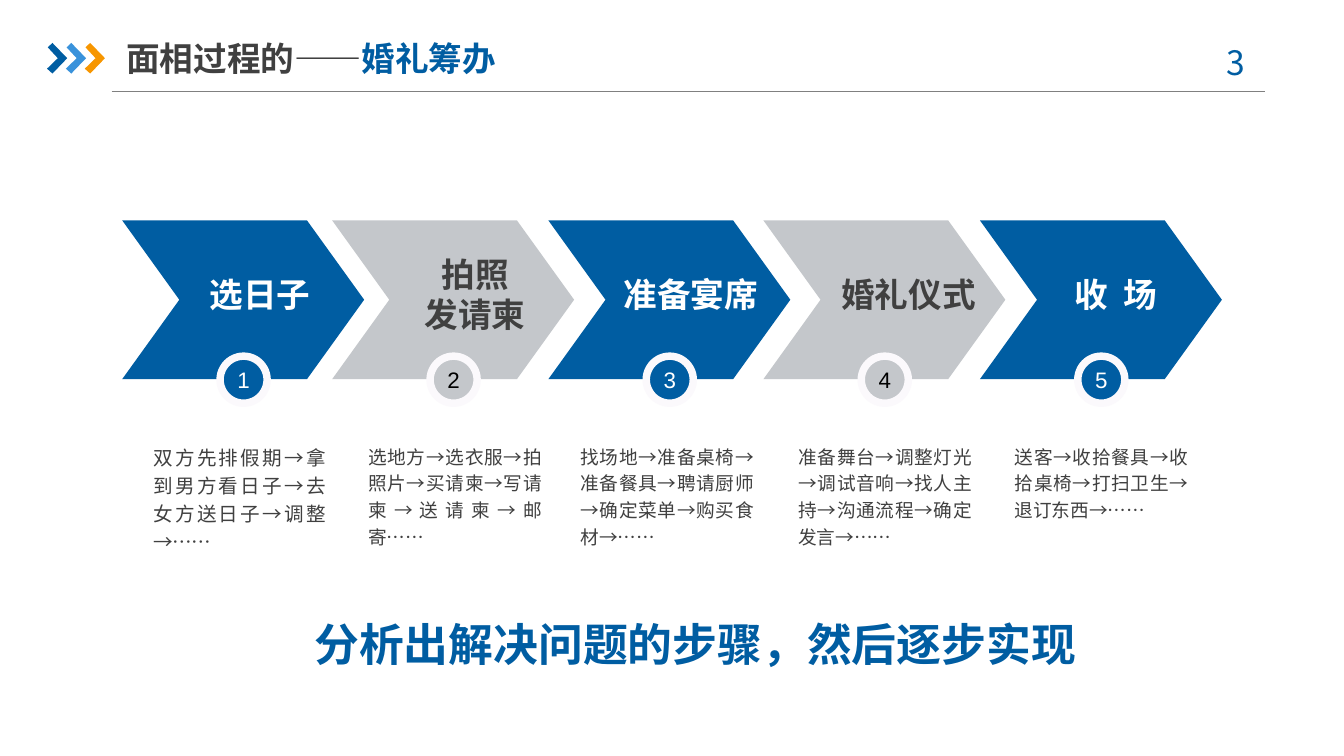
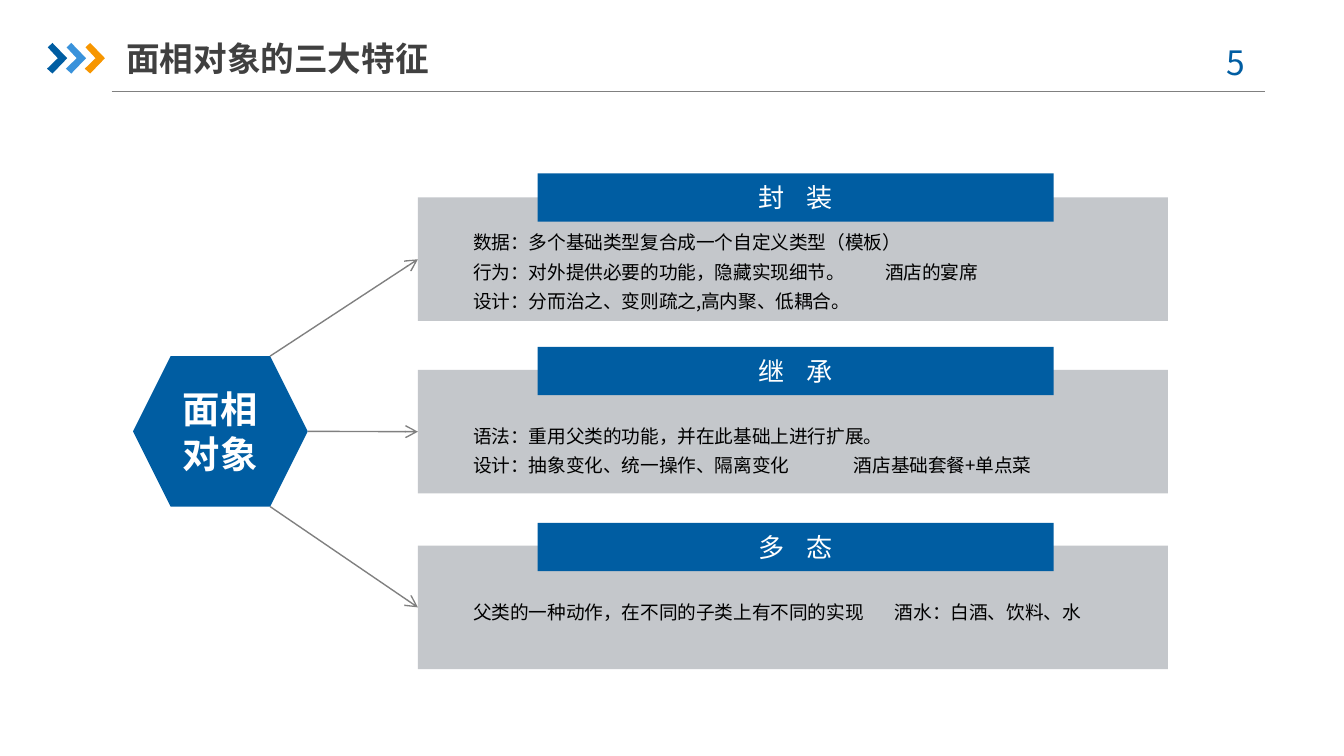
from dataclasses import dataclass
from lxml.etree import SubElement
from pptx import Presentation
from pptx.dml.color import RGBColor
from pptx.enum.shapes import MSO_CONNECTOR, MSO_SHAPE
from pptx.enum.text import MSO_ANCHOR, PP_ALIGN
from pptx.oxml.ns import qn
from pptx.util import Pt


@dataclass(frozen=True)
class Theme:
    blue: str = "005DA2"
    sky: str = "3992DB"
    gold: str = "F79600"
    pale: str = "C4C7CB"
    rim: str = "FBF9FC"
    rule: str = "808080"
    ink: str = "404040"
    black: str = "000000"
    white: str = "FFFFFF"
    sans: str = "Noto Sans CJK SC"
    latin: str = "Calibri"
    digit: str = "Arial"
    head: int = 18
    claim: int = 24
    core: int = 20
    bar: int = 14
    badge: int = 12
    body: int = 10


T = Theme()
FLUSH = dict(margin_left=0, margin_right=0, margin_top=0, margin_bottom=0)
SLIM = dict(margin_left=Pt(5.76), margin_right=Pt(5.76), margin_top=Pt(2.88), margin_bottom=Pt(2.88))
MID = dict(vertical_anchor=MSO_ANCHOR.MIDDLE)
CENTER = dict(alignment=PP_ALIGN.CENTER)

TITLES = [
    ("3", 213, [("面相过程的——", {}), ("婚礼筹办", dict(name=T.latin, color=T.blue))]),
    ("5", 168, [("面相对象的三大特征", {})]),
]
STEPS = [
    (65.5, 139.3, 82, 10.5, [[("选日子", {})]],
     "双方先排假期→拿到男方看日子→去女方送日子→调整→……"),
    (178, 254.5, 197.3, T.body, [[("拍照", {})], [("发请柬", {})]],
     "选地方→选衣服→拍照片→买请柬→写请柬→送请柬→邮寄……"),
    (293.8, 370, 311, T.body, [[("准备宴席", {})]],
     "找场地→准备桌椅→准备餐具→聘请厨师→确定菜单→购买食材→……"),
    (409, 486.7, 427.7, T.body, [[("婚礼仪式", {})]],
     "准备舞台→调整灯光→调试音响→找人主持→沟通流程→确定发言→……"),
    (525, 597.6, 543.6, T.body, [[("收 ", dict(gap=2)), ("场", {})]],
     "送客→收拾餐具→收拾桌椅→打扫卫生→退订东西→……"),
]
CLAIM = "分析出解决问题的步骤，然后逐步实现"
CORE = "面相对象"
TRAITS = [
    (105.8, 92.9, 117.4, 220.7, "封装",
     ["数据：多个基础类型复合成一个自定义类型（模板）",
      "行为：对外提供必要的功能，隐藏实现细节。\t酒店的宴席",
      "设计：分而治之、变则疏之,高内聚、低耦合。"]),
    (198.2, 185.8, 221, 204, "继承",
     ["语法：重用父类的功能，并在此基础上进行扩展。",
      "设计：抽象变化、统一操作、隔离变化\t酒店基础套餐+单点菜"]),
    (292.3, 280.1, 315.4, 226, "多态",
     ["父类的一种动作，在不同的子类上有不同的实现\t酒水：白酒、饮料、水"]),
]


def rgb(code):
    return RGBColor.from_string(code)


def apply(part, values):
    for key, value in values.items():
        setattr(part, key, value)


def write(shape, paras, look, frame=None, para=None, tab=None):
    box = shape.text_frame
    apply(box, {"word_wrap": True, **(frame or {})})
    for i, runs in enumerate(paras):
        line = box.paragraphs[0] if i == 0 else box.add_paragraph()
        apply(line, para or {})
        if tab:
            stops = SubElement(line._p.get_or_add_pPr(), qn("a:tabLst"))
            SubElement(stops, qn("a:tab"), pos=str(Pt(tab)), algn="l")
        for words, extra in runs:
            form = {"name": T.sans, "bold": False, **look, **extra}
            color, gap = form.pop("color"), form.pop("gap", 0)
            form["size"] = Pt(form["size"])
            run = line.add_run()
            run.text = words
            run.font.color.rgb = rgb(color)
            apply(run.font, form)
            props = run._r.get_or_add_rPr()
            SubElement(props, qn("a:ea"), typeface=T.sans)
            if gap:
                props.set("spc", str(round(gap * 100)))


def label(slide, spot, *args, **kwargs):
    write(slide.shapes.add_textbox(*map(Pt, spot)), *args, **kwargs)


def paint(shape, fill, rim=None):
    shape.shadow.inherit = False
    shape.fill.solid()
    shape.fill.fore_color.rgb = rgb(fill)
    if rim:
        shape.line.color.rgb = rgb(rim)
        shape.line.width = Pt(4)
    else:
        shape.line.fill.background()
    return shape


def block(slide, kind, spot, fill, rim=None):
    return paint(slide.shapes.add_shape(kind, *map(Pt, spot)), fill, rim)


def link(slide, start, end, arrow=False):
    line = slide.shapes.add_connector(MSO_CONNECTOR.STRAIGHT, *map(Pt, start + end))
    line.line.color.rgb = rgb(T.rule)
    line.line.width = Pt(0.75)
    if arrow:
        SubElement(line.line._get_or_add_ln(), qn("a:tailEnd"), type="arrow")
    SubElement(line._element.spPr, qn("a:effectLst"))
    return line


def frame(deck, page, width, title):
    slide = deck.slides.add_slide(deck.slide_layouts[6])
    link(slide, (59.8, 49), (677.5, 49))
    for i, color in enumerate((T.blue, T.sky, T.gold)):
        left = 25.2 + 10.1 * i
        dots = [(left + x, 23 + y) for x, y in
                ((0.4, 2.4), (2.9, 0), (10.8, 8.2), (2.9, 16.4), (0, 13.8), (5.8, 8.2))]
        path = slide.shapes.build_freeform(Pt(dots[0][0]), Pt(dots[0][1]))
        path.add_line_segments([(Pt(x), Pt(y)) for x, y in dots[1:]], close=True)
        paint(path.convert_to_shape(), color)
    label(slide, (635.5, 18.7, 52.6, 28.8), [[(page, {})]],
          dict(size=T.head, color=T.blue), para=CENTER)
    label(slide, (67.7, 15.8, width, 30.2), [title],
          dict(size=T.head, color=T.ink, bold=True),
          frame=dict(margin_left=0, margin_right=0, **MID))
    return slide


def draw_steps(slide):
    for i, (left, mid, note, size, name, text) in enumerate(STEPS):
        fill, dark, num = (T.pale, T.ink, T.black) if i % 2 else (T.blue, T.white, T.white)
        arrow = block(slide, MSO_SHAPE.CHEVRON, (left, 118.1, 129.6, 85), fill)
        arrow.adjustments[0] = 0.36
        label(slide, (mid - 42, 142.7, 84, 30), name,
              dict(size=T.head, color=dark, bold=True), {**FLUSH, **MID}, CENTER)
        badge = block(slide, MSO_SHAPE.OVAL, (left + 52.4, 190.8, 25.2, 25.2), fill, T.rim)
        write(badge, [[(str(i + 1), {})]], dict(size=T.badge, color=num, name=T.digit),
              {**FLUSH, **MID}, CENTER)
        label(slide, (note, 236.2, 92.9, 60), [[(text, {})]],
              dict(size=size, color=T.ink), FLUSH,
              dict(alignment=PP_ALIGN.JUSTIFY, line_spacing=1.2))
    label(slide, (161.3, 326.9, 447.8, 36), [[(CLAIM, {})]],
          dict(size=T.claim, color=T.blue, bold=True, name=T.latin))


def draw_traits(slide):
    core = block(slide, MSO_SHAPE.HEXAGON, (71.3, 190.8, 93.6, 80.6), T.blue)
    write(core, [[(CORE, {})]], dict(size=T.core, color=T.white, bold=True),
          {**SLIM, **MID}, CENTER)
    starts = [(144.7, 190.8), (164.9, 231.1), (144.7, 271.4)]
    for start, (top, bar, body, tab, name, lines) in zip(starts, TRAITS):
        panel = block(slide, MSO_SHAPE.RECTANGLE, (223.9, top, 401.8, 66.2), T.pale)
        link(slide, start, (223.9, top + 33.1), True).end_connect(panel, 1)
        strip = block(slide, MSO_SHAPE.RECTANGLE, (288, bar, 276.5, 25.9), T.blue)
        write(strip, [[(name[0] + " ", dict(gap=4.5)), (name[1], {})]],
              dict(size=T.bar, color=T.white), {**SLIM, **MID}, CENTER)
        label(slide, (247.7, body, 368, 5.8 + 15.6 * len(lines)),
              [[(line, {})] for line in lines], dict(size=T.body, color=T.black),
              SLIM, dict(line_spacing=1.3), tab)


def main():
    deck = Presentation()
    apply(deck, dict(slide_width=Pt(720), slide_height=Pt(405)))
    for head, draw in zip(TITLES, (draw_steps, draw_traits)):
        draw(frame(deck, *head))
    deck.save("out.pptx")


if __name__ == "__main__":
    main()
